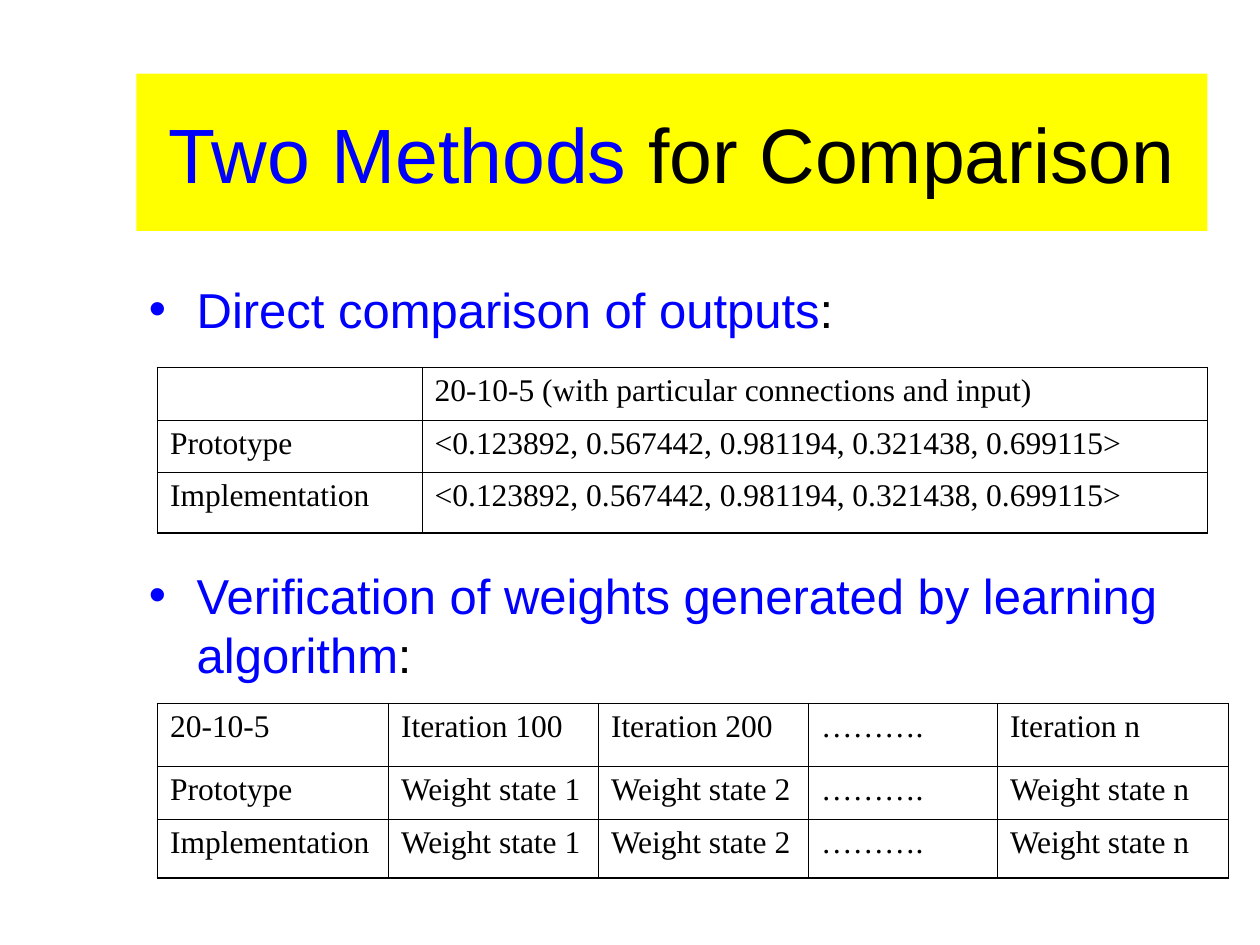
from lxml.etree import SubElement
from pptx import Presentation
from pptx.dml.color import RGBColor
from pptx.enum.shapes import MSO_SHAPE as Shape
from pptx.enum.text import MSO_ANCHOR as Anchor, PP_ALIGN as Align
from pptx.oxml.ns import qn
from pptx.util import Inches, Pt

# The slide is a grid of square units, 120 across and 90 down
UNIT = Inches(10) / 120
BLACK, BLUE, YELLOW = "000000", "0000FF", "FFFF00"
SANS, SERIF = "Arial", "Times New Roman"
OUTER, INNER = 1.08, 0.45

OUTPUTS = "<0.123892, 0.567442, 0.981194, 0.321438, 0.699115>"
DOTS = "………."
WEIGHTS = ["Weight state 1", "Weight state 2", DOTS, "Weight state n"]
OUTPUT_ROWS = [
    ["", "20-10-5 (with particular connections and input)"],
    ["Prototype", OUTPUTS],
    ["Implementation", OUTPUTS],
]
WEIGHT_ROWS = [
    ["20-10-5", "Iteration 100", "Iteration 200", DOTS, "Iteration n"],
    ["Prototype", *WEIGHTS],
    ["Implementation", *WEIGHTS],
]


def units(*counts):
    return [round(count * UNIT) for count in counts]


def colour(value):
    return RGBColor.from_string(value)


def add_runs(para, runs, size, font):
    for text, shade in runs:
        span = para.add_run()
        span.text = text
        span.font.size = Pt(size)
        span.font.name = font
        span.font.color.rgb = colour(shade)


def add_title(page, place, runs):
    box = page.shapes.add_shape(Shape.RECTANGLE, *units(*place))
    box.shadow.inherit = False
    box.fill.solid()
    box.fill.fore_color.rgb = colour(YELLOW)
    box.line.fill.background()
    frame = box.text_frame
    frame.word_wrap = True
    frame.vertical_anchor = Anchor.MIDDLE
    para = frame.paragraphs[0]
    para.alignment = Align.CENTER
    add_runs(para, runs, 44, SANS)


def set_bullet(para, shade):
    props = para._p.get_or_add_pPr()
    indent = Inches(0.38)
    props.set("marL", str(indent))
    props.set("indent", str(-indent))
    SubElement(SubElement(props, qn("a:buClr")), qn("a:srgbClr"), val=shade)
    SubElement(props, qn("a:buFont"), typeface=SANS)
    SubElement(props, qn("a:buChar"), char="•")


def add_bullets(page, place, items):
    frame = page.shapes.add_textbox(*units(*place)).text_frame
    frame.word_wrap = True
    for index, (text, gap) in enumerate(items):
        para = frame.add_paragraph() if index else frame.paragraphs[0]
        para.space_before = Pt(gap)
        set_bullet(para, BLUE)
        add_runs(para, [(text, BLUE), (":", BLACK)], 28, SANS)


def set_border(cell, side, width):
    line = SubElement(cell._tc.get_or_add_tcPr(), qn(f"a:ln{side}"), w=str(Pt(width)))
    SubElement(SubElement(line, qn("a:solidFill")), qn("a:srgbClr"), val=BLACK)


def add_grid(page, left, top, widths, heights, rows):
    place = units(left, top, sum(widths), sum(heights))
    table = page.shapes.add_table(len(rows), len(widths), *place).table
    table.first_row = table.horz_banding = False
    for column, width in zip(table.columns, units(*widths)):
        column.width = width
    for row, height in zip(table.rows, units(*heights)):
        row.height = height

    last_row, last_column = len(rows) - 1, len(widths) - 1
    for r, texts in enumerate(rows):
        for c, text in enumerate(texts):
            cell = table.cell(r, c)
            para = cell.text_frame.paragraphs[0]
            para.space_before = Pt(4.5)
            para.font.size = Pt(18)
            if text:
                add_runs(para, [(text, BLACK)], 18, SERIF)
            # Heavier rule around the outside of the table
            edges = {"L": c == 0, "R": c == last_column, "T": r == 0, "B": r == last_row}
            for side, outside in edges.items():
                set_border(cell, side, OUTER if outside else INNER)
            cell.fill.background()


def main():
    deck = Presentation()
    deck.slide_width, deck.slide_height = units(120, 90)
    page = deck.slides.add_slide(deck.slide_layouts[6])

    # Title band
    add_title(page, (13, 7, 102, 15), [("Two Methods ", BLUE), ("for Comparison", BLACK)])

    # Two methods, the second one spaced to clear the first table
    add_bullets(page, (13, 26, 102, 54), [
        ("Direct comparison of outputs", 7),
        ("Verification of weights generated by learning algorithm", 130),
    ])

    # Tables of outputs and weights
    add_grid(page, 15, 35, [25.2, 74.8], [5, 5, 5.8], OUTPUT_ROWS)
    add_grid(page, 15, 67, [22, 20, 20, 18, 22], [6, 5, 5.6], WEIGHT_ROWS)

    deck.save("out.pptx")


if __name__ == "__main__":
    main()
